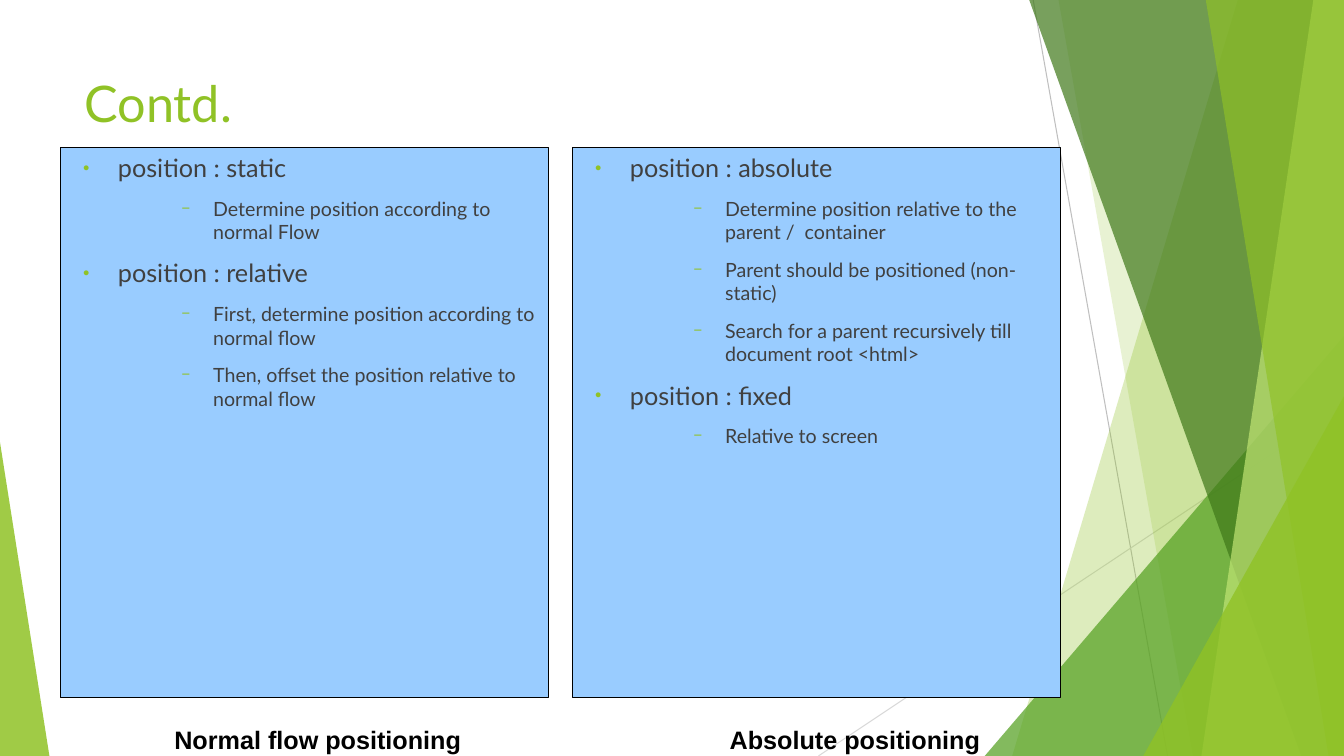
from lxml import etree
from pptx import Presentation
from pptx.dml.color import RGBColor
from pptx.enum.shapes import MSO_CONNECTOR, MSO_SHAPE
from pptx.enum.text import MSO_ANCHOR, PP_ALIGN
from pptx.oxml.ns import qn
from pptx.util import Pt

RECTANGLE = MSO_SHAPE.RECTANGLE
TRIANGLE = MSO_SHAPE.ISOSCELES_TRIANGLE
STRAIGHT = MSO_CONNECTOR.STRAIGHT
LEFT, TOP = PP_ALIGN.LEFT, MSO_ANCHOR.TOP

# Content
TITLE = "Contd."
COLUMNS = [
    {
        "caption": "Normal flow positioning",
        "caption_left": 117.4,
        "caption_width": 219.6,
        "items": [
            ("position : static", ["Determine position according to normal Flow"]),
            ("position : relative", [
                "First, determine position according to normal flow",
                "Then, offset the position relative to normal flow",
            ]),
        ],
    },
    {
        "caption": "Absolute positioning",
        "caption_left": 514.1,
        "caption_width": 193.7,
        "items": [
            ("position : absolute", [
                "Determine position relative to the parent /  container",
                "Parent should be positioned (non-static)",
                "Search for a parent recursively till document root <html>",
            ]),
            ("position : fixed", ["Relative to screen"]),
        ],
    },
]

COLORS = {
    "lime": "90C226", "green": "54A021", "forest": "3F7819", "pale": "C0E474",
    "panel": "99CCFF", "body": "404040", "black": "000000",
    "gray": "BFBFBF", "light_gray": "D9D9D9",
}

# Layout, in points
WIDTH, HEIGHT = 960, 540
BLEED = -0.6
PANEL_LEFT, PANEL_TOP, PANEL_WIDTH, PANEL_HEIGHT = 43.2, 105.3, 348.5, 393
PANEL_STEP = 365.7
CAPTION_TOP, CAPTION_HEIGHT = 512.6, 27.4
# size, left margin, hanging indent, bullet, bullet percent
LEVELS = [(18, 34, -25, "●", 45), (14, 102, -22.5, "−", 75)]

# start x, start y, end x, end y, color
HAIRLINES = [(738, 0, 834, HEIGHT, "gray"), (WIDTH, 290, 584.6, HEIGHT, "light_gray")]
# Bands reach the right edge: kind, top x, bottom x, color, opacity
# Triangles stand on the bottom edge: kind, left, width, height, apex, color, opacity
DECORATION = [
    ("band", 884.3, 723, "lime", 30),
    ("band", 756, 852, "lime", 20),
    ("triangle", 703.4, 256.6, 300, 1, "green", 72),
    ("band", 735, 929.5, "forest", 70),
    ("band", 938.2, 858.2, "pale", 70),
    ("band", 861.2, 949, "lime", 65),
    ("triangle", 816.6, 143.4, 257, 1, "lime", 80),
    ("triangle", 0, 35.3, 224, 0, "lime", 85),
]


def color(name):
    return RGBColor.from_string(COLORS[name])


def fill_shape(shape, name, opacity=100):
    shape.shadow.inherit = False
    shape.fill.solid()
    shape.fill.fore_color.rgb = color(name)
    if opacity < 100:
        swatch = shape.fill._xPr.find(qn("a:solidFill"))[0]
        etree.SubElement(swatch, qn("a:alpha"), val=str(opacity * 1000))


def add_hairline(page, x1, y1, x2, y2, name):
    line = page.shapes.add_connector(STRAIGHT, Pt(x1), Pt(y1), Pt(x2), Pt(y2))
    line.line.color.rgb = color(name)
    line.line.width = Pt(0.75)
    etree.SubElement(line._element.spPr, qn("a:effectLst"))


def add_band(page, top_x, bottom_x, name, opacity):
    builder = page.shapes.build_freeform(Pt(top_x), Pt(BLEED))
    corners = [(WIDTH, BLEED), (WIDTH, HEIGHT), (bottom_x, HEIGHT)]
    builder.add_line_segments([(Pt(x), Pt(y)) for x, y in corners], close=True)
    band = builder.convert_to_shape()
    fill_shape(band, name, opacity)
    band.line.fill.background()


def add_triangle(page, left, width, height, apex, name, opacity):
    triangle = page.shapes.add_shape(
        TRIANGLE, Pt(left), Pt(HEIGHT - height), Pt(width), Pt(height))
    triangle.adjustments[0] = apex
    fill_shape(triangle, name, opacity)
    triangle.line.fill.background()


def add_span(para, text, size, font, name, bold=False):
    span = para.add_run()
    span.text = text
    span.font.size = Pt(size)
    span.font.name = font
    span.font.bold = bold
    span.font.color.rgb = color(name)


def add_label(page, left, top, width, height, wrap, *style):
    box = page.shapes.add_textbox(Pt(left), Pt(top), Pt(width), Pt(height))
    box.text_frame.word_wrap = wrap
    add_span(box.text_frame.paragraphs[0], *style)
    return box


def set_bullet(para, margin, indent, mark, percent):
    props = para._p.get_or_add_pPr()
    props.set("marL", str(Pt(margin)))
    props.set("indent", str(Pt(indent)))
    tint = etree.SubElement(props, qn("a:buClr"))
    etree.SubElement(tint, qn("a:srgbClr"), val=COLORS["lime"])
    etree.SubElement(props, qn("a:buSzPct"), val=str(percent * 1000))
    etree.SubElement(props, qn("a:buFont"), typeface="Arial")
    etree.SubElement(props, qn("a:buChar"), char=mark)


def add_panel(page, left, items):
    panel = page.shapes.add_shape(
        RECTANGLE, Pt(left), Pt(PANEL_TOP), Pt(PANEL_WIDTH), Pt(PANEL_HEIGHT))
    fill_shape(panel, "panel")
    panel.line.color.rgb = color("black")
    panel.line.width = Pt(0.75)
    frame = panel.text_frame
    frame.word_wrap = True
    frame.vertical_anchor = TOP
    lines = [line for head, details in items
             for line in [(0, head)] + [(1, detail) for detail in details]]
    for index, (level, text) in enumerate(lines):
        para = frame.add_paragraph() if index else frame.paragraphs[0]
        size, *bullet = LEVELS[level]
        set_bullet(para, *bullet)
        para.alignment = LEFT
        para.level = level * 2
        para.space_before = Pt(10 if index else 0)
        add_span(para, text, size, "Lato", "body")


def main():
    deck = Presentation()
    deck.slide_width, deck.slide_height = Pt(WIDTH), Pt(HEIGHT)
    page = deck.slides.add_slide(deck.slide_layouts[6])

    # Background decoration
    for hairline in HAIRLINES:
        add_hairline(page, *hairline)
    draw = {"band": add_band, "triangle": add_triangle}
    for kind, *geometry in DECORATION:
        draw[kind](page, *geometry)

    # Title
    add_label(page, 53.3, 48.2, 676.8, 103.7, True, TITLE, 36, "Lato", "lime")

    # Panels and their captions
    for index, column in enumerate(COLUMNS):
        add_panel(page, PANEL_LEFT + index * PANEL_STEP, column["items"])
    for column in COLUMNS:
        caption = add_label(
            page, column["caption_left"], CAPTION_TOP, column["caption_width"],
            CAPTION_HEIGHT, False, column["caption"], 18, "Arial", "black", True)
        caption.text_frame.margin_top = Pt(5)

    deck.save("out.pptx")


if __name__ == "__main__":
    main()
